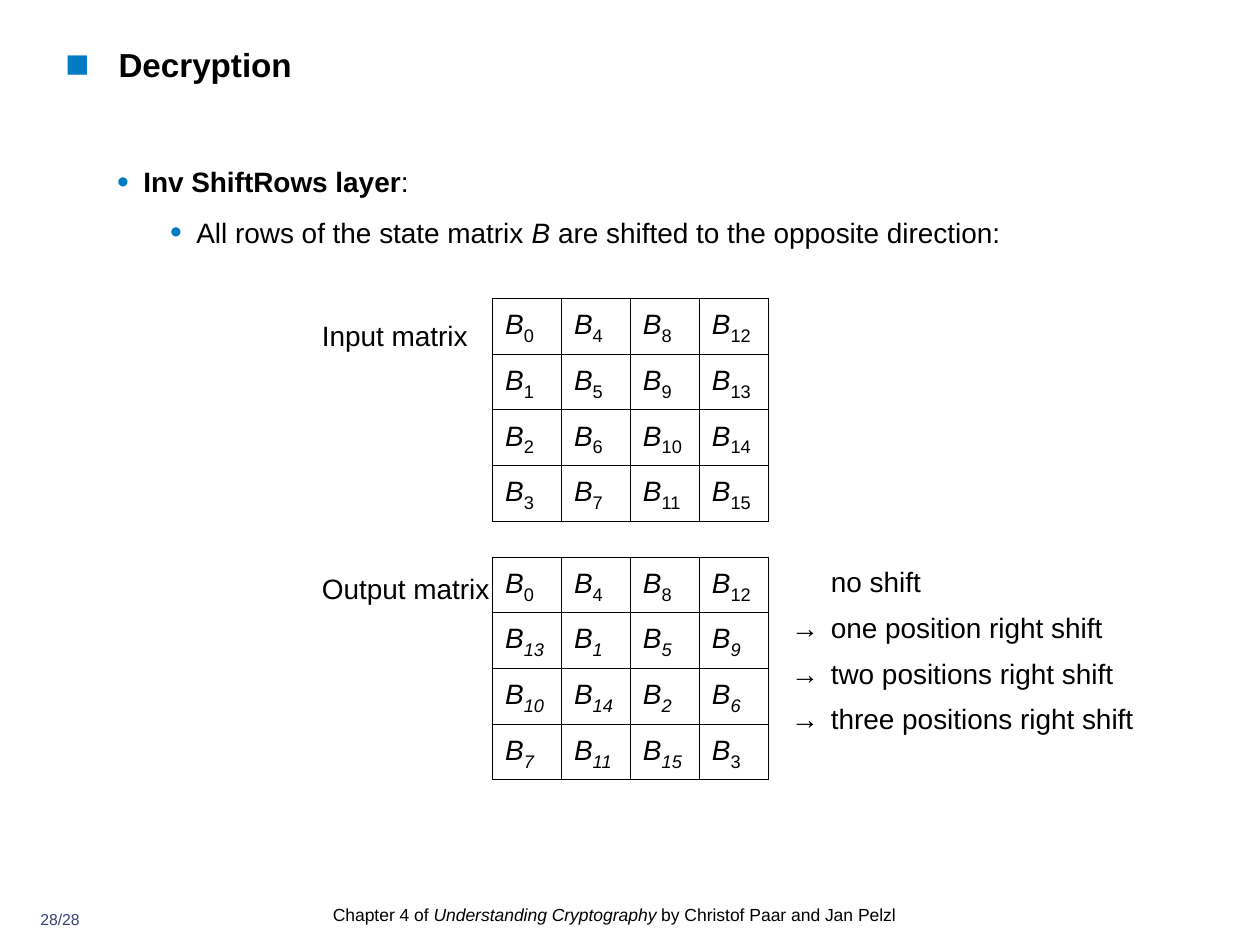
import pptx
import pptx.dml.color
import pptx.enum.text
import pptx.oxml
import pptx.oxml.ns
import pptx.util
from pptx.util import Cm, Pt

BLACK, BLUE, NAVY = "000000", "007AC2", "394073"
SIZE = 4
ROW_HEIGHT, COLUMN_WIDTH = 1.12, 1.39


def color(value):
    return pptx.dml.color.RGBColor.from_string(value)


def add_element(parent, tag, **attributes):
    element = pptx.oxml.parse_xml(f"<a:{tag} {pptx.oxml.ns.nsdecls('a')}/>")
    for name, value in attributes.items():
        element.set(name, str(value))
    parent.append(element)
    return element


def set_font(font, size, value=BLACK, bold=None):
    font.name = "Arial"
    font.size = Pt(size)
    font.bold = bold
    font.color.rgb = color(value)


def set_indent(para, left, first):
    properties = para._p.get_or_add_pPr()
    properties.set("marL", str(Cm(left)))
    properties.set("indent", str(Cm(first)))
    return properties


def add_bullet(para, symbol, left, hanging):
    properties = set_indent(para, left, -hanging)
    add_element(add_element(properties, "buClr"), "srgbClr", val=BLUE)
    add_element(properties, "buSzPct", val=120000)
    add_element(properties, "buFont", typeface="Arial")
    add_element(properties, "buChar", char=symbol)


def add_spans(para, *spans):
    """Add (text, font attribute to switch on or None) pairs."""
    for text, style in spans:
        span = para.add_run()
        span.text = text
        if style:
            setattr(span.font, style, True)


def add_text_frame(page, left, top, width, height):
    frame = page.shapes.add_textbox(Cm(left), Cm(top), Cm(width), Cm(height)).text_frame
    frame.margin_left = frame.margin_right = frame.margin_top = frame.margin_bottom = 0
    frame.word_wrap = True
    return frame


def add_title(page, left, top, width, height):
    para = add_text_frame(page, left, top, width, height).paragraphs[0]
    add_bullet(para, "■", 1.07, 1.07)
    para.text = "Decryption"
    set_font(para.font, 19, bold=True)


def add_explanation(page, left, top, width, height):
    frame = add_text_frame(page, left, top, width, height)
    heading, detail = frame.paragraphs[0], frame.add_paragraph()
    add_spans(heading, ("Inv ShiftRows layer", "bold"), (":", None))
    add_spans(detail, ("All rows of the state matrix ", None), ("B", "italic"),
              (" are shifted to the opposite direction:", None))
    detail.level = 1
    for para, indent in ((heading, 0.53), (detail, 1.6)):
        add_bullet(para, "•", indent, 0.53)
        para.line_spacing = 1.25
        set_font(para.font, 16)
    detail.space_before = Pt(5)


def add_borders(cell):
    properties = cell._tc.get_or_add_tcPr()
    for side in ("lnL", "lnR", "lnT", "lnB"):
        line = add_element(properties, side, w=Pt(0.45))
        add_element(add_element(line, "solidFill"), "srgbClr", val=BLACK)


def fill_cell(cell, number, italic_index):
    cell.vertical_anchor = pptx.enum.text.MSO_ANCHOR.MIDDLE
    add_borders(cell)
    cell.fill.background()
    para = cell.text_frame.paragraphs[0]
    add_spans(para, ("B", "italic"), (str(number), "italic" if italic_index else None))
    set_font(para.font, 16)
    index_font = para.runs[1].font
    index_font.size = Pt(18)
    index_font._element.set("baseline", "-25000")


def add_matrix(page, left, top, label, label_drop, shifted):
    """Place a label and, to its right, the state matrix, rows shifted right if asked."""
    para = add_text_frame(page, left, top + label_drop, 3.44, 0.7).paragraphs[0]
    para.text = label
    set_font(para.font, 16)

    table = page.shapes.add_table(SIZE, SIZE, Cm(left + 3.44), Cm(top),
                                  Cm(SIZE * COLUMN_WIDTH), Cm(SIZE * ROW_HEIGHT)).table
    table.first_row = table.horz_banding = False
    for row in range(SIZE):
        table.rows[row].height = Cm(ROW_HEIGHT)
        table.columns[row].width = Cm(COLUMN_WIDTH)
        for column in range(SIZE):
            source = (column - row) % SIZE if shifted else column
            number = SIZE * source + row
            fill_cell(table.cell(row, column), number,
                      shifted and row > 0 and number != 3)


def add_shift_notes(page, left, top, width, height):
    frame = add_text_frame(page, left, top, width, height)
    notes = ("no shift", "→\tone position right shift",
             "→\ttwo positions right shift", "→\tthree positions right shift")
    for row, note in enumerate(notes):
        para = frame.add_paragraph() if row else frame.paragraphs[0]
        set_indent(para, 0.8, -0.8 if row else 0)
        if row:
            para.space_before = Pt(7)
        para.text = note
        set_font(para.font, 16)


def add_source_line(page, left, top, width, height):
    para = add_text_frame(page, left, top, width, height).paragraphs[0]
    add_spans(para, ("Chapter 4 of ", None), ("Understanding Cryptography", "italic"),
              (" by Christof Paar and Jan Pelzl", None))
    para.line_spacing = 1.2
    set_font(para.font, 10)


def add_page_number(page, left, top, width, height):
    para = add_text_frame(page, left, top, width, height).paragraphs[0]
    para.text = "28/28"
    para.alignment = pptx.enum.text.PP_ALIGN.CENTER
    set_font(para.font, 9, NAVY)


def main():
    deck = pptx.Presentation()
    deck.slide_width, deck.slide_height = Cm(25.4), Cm(19.05)
    page = deck.slides.add_slide(deck.slide_layouts[6])
    add_title(page, 1.32, 0.89, 17.96, 1.42)
    add_explanation(page, 2.36, 3.15, 20.65, 2)
    add_matrix(page, 6.49, 6.02, "Input matrix", 0.41, shifted=False)
    add_matrix(page, 6.49, 11.23, "Output matrix", 0.29, shifted=True)
    add_shift_notes(page, 15.95, 11.38, 8, 3.6)
    add_source_line(page, 6.71, 18.14, 12.01, 0.71)
    add_page_number(page, 0.51, 18.34, 1.4, 0.61)
    deck.save("out.pptx")


if __name__ == "__main__":
    main()
